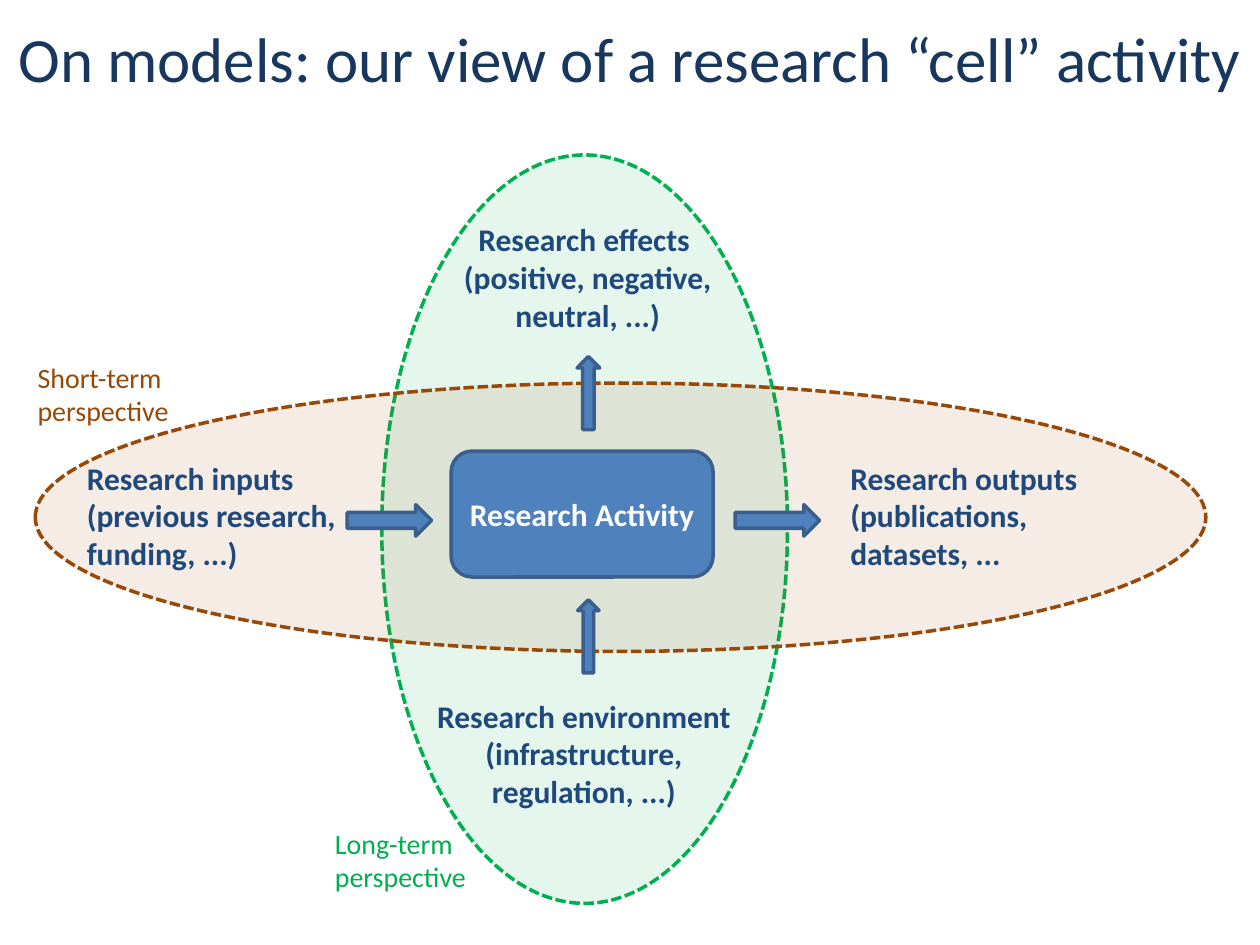
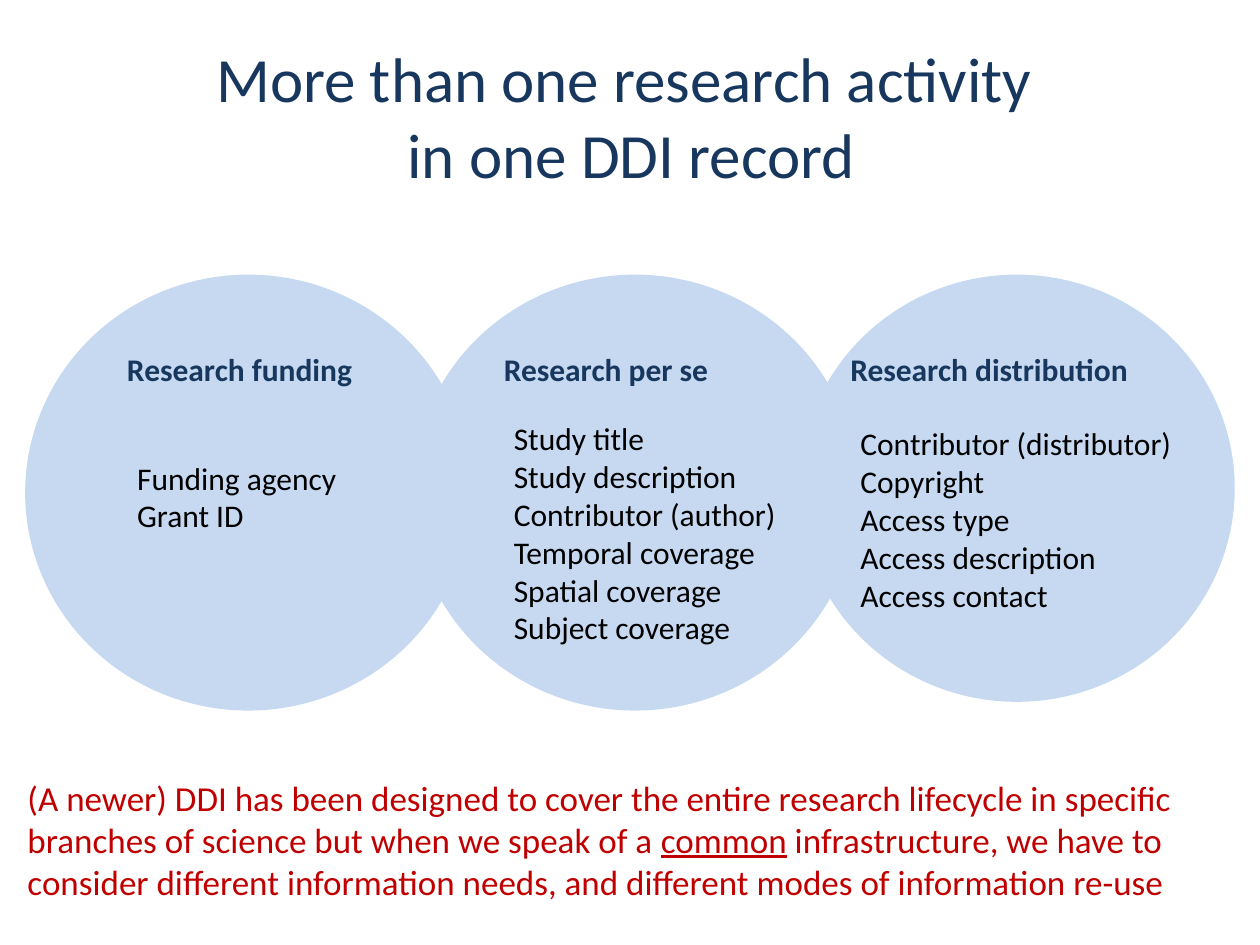
from lxml.etree import SubElement
from pptx import Presentation
from pptx.dml.color import RGBColor
from pptx.enum.dml import MSO_LINE
from pptx.enum.shapes import MSO_SHAPE
from pptx.enum.text import MSO_ANCHOR, MSO_AUTO_SIZE, PP_ALIGN
from pptx.oxml.ns import qn
from pptx.util import Inches, Pt

FONT = "Calibri"
COLORS = {
    "title": "17375E", "label": "1F497D", "text": "000000", "white": "FFFFFF",
    "long": "00B050", "short": "984807", "activity": "4F81BD",
    "edge": "3A5F8C", "circle": "C6D9F1", "remark": "C00000",
}
WIDTH, HEIGHT = 10, 7.5

# Slide 1: places are (left, top, width, height) in inches
CELL_TITLE = ["On models: our view of a research “cell” activity"]
PERSPECTIVES = [
    ("long", (3.03, 1.23, 3.22, 5.94), "Long-term perspective", (2.56, 6.51, 1.32, 0.64)),
    ("short", (0.28, 3.04, 9.29, 2.13), "Short-term perspective", (0.2, 2.81, 1.42, 0.64)),
]
ACTIVITY = ("Research Activity", (3.58, 3.58, 2.08, 1))
FACTORS = [
    (["Research inputs", "(previous research, funding, ...)"], (0.59, 3.59, 2.31, 1.01), PP_ALIGN.LEFT),
    (["Research outputs", "(publications, datasets, ..."], (6.65, 3.59, 2.13, 1.01), PP_ALIGN.LEFT),
    (["Research effects \v(positive, negative, neutral, ...)"], (3.58, 1.7, 2.17, 1.01), PP_ALIGN.CENTER),
    (["Research environment (infrastructure, regulation, ...)"], (3.27, 5.48, 2.73, 1.01), PP_ALIGN.CENTER),
]
# Centre x, centre y, length, thickness, rotation
ARROWS = [
    (3.09, 4.13, 0.67, 0.25, 0), (6.17, 4.13, 0.67, 0.25, 0),
    (4.67, 3.12, 0.58, 0.18, 270), (4.67, 5.05, 0.58, 0.17, 270),
]

# Slide 2: heading, its left edge, entries, their top and width, circle size
RECORD_TITLE = ["More than one research activity \vin one DDI record"]
STAGES = [
    ("Research funding", 0.91, ["Funding agency", "Grant ID"], 3.59, 1.97, (3.54, 3.46)),
    ("Research per se", 3.9,
     ["Study title", "Study description", "Contributor (author)",
      "Temporal coverage", "Spatial coverage", "Subject coverage"], 3.28, 2.44, (3.54, 3.46)),
    ("Research distribution", 6.65,
     ["Contributor (distributor)", "Copyright", "Access type",
      "Access description", "Access contact"], 3.32, 2.68, (3.46, 3.39)),
]
CIRCLE_LEFT, CIRCLE_TOP, CIRCLE_PITCH = 0.2, 2.18, 3.07
HEADING_TOP, HEADING_WIDTH, HEADING_HEIGHT = 2.73, 2.6, 0.4
ENTRY_INDENT, ENTRY_HEIGHT = 0.08, 0.3
REMARK = [
    ("(A newer) DDI has been designed to cover the entire research lifecycle in "
     "specific branches of science but when we speak of a ", False),
    ("common", True),
    (" infrastructure, we have to consider different information needs, and "
     "different modes of information re-use", False),
]


def color(name):
    return RGBColor.from_string(COLORS[name])


def inches(place):
    return [Inches(length) for length in place]


def write(frame, paragraphs, size, ink, bold=False, align=PP_ALIGN.LEFT):
    """Fill a frame; a paragraph is a string or a list of (text, underlined)."""
    frame.word_wrap = True
    for index, content in enumerate(paragraphs):
        para = frame.paragraphs[0] if index == 0 else frame.add_paragraph()
        para.alignment = align
        spans = [(content, False)] if isinstance(content, str) else content
        for text, underlined in spans:
            for number, line in enumerate(text.split("\v")):
                if number:
                    para.add_line_break()
                span = para.add_run()
                span.text = line
                font = span.font
                font.name, font.size, font.bold = FONT, Pt(size), bold
                font.color.rgb = color(ink)
                if underlined:
                    font.underline = True


def add_text(page, place, paragraphs, size, ink, bold=False, align=PP_ALIGN.LEFT):
    box = page.shapes.add_textbox(*inches(place))
    write(box.text_frame, paragraphs, size, ink, bold, align)
    box.text_frame.auto_size = MSO_AUTO_SIZE.SHAPE_TO_FIT_TEXT


def add_figure(page, kind, place, fill, edge=None):
    shape = page.shapes.add_shape(kind, *inches(place))
    shape.shadow.inherit = False
    shape.fill.solid()
    shape.fill.fore_color.rgb = color(fill)
    if edge:
        shape.line.color.rgb = color(edge)
        shape.line.width = Pt(2)
    else:
        shape.line.fill.background()
    return shape


def set_opacity(shape, percent):
    fill_color = shape._element.spPr.find(qn("a:solidFill"))[0]
    SubElement(fill_color, qn("a:alpha")).set("val", str(percent * 1000))


def add_page(deck, title, place):
    page = deck.slides.add_slide(deck.slide_layouts.get_by_name("Title Only"))
    heading = page.shapes.title
    heading.left, heading.top, heading.width, heading.height = inches(place)
    heading.text_frame.vertical_anchor = MSO_ANCHOR.MIDDLE
    heading.text_frame.auto_size = MSO_AUTO_SIZE.NONE
    write(heading.text_frame, title, 36, "title", align=PP_ALIGN.CENTER)
    return page


def build_cell(deck):
    page = add_page(deck, CELL_TITLE, (0, 0, WIDTH, 0.91))
    for ink, place, _, _ in PERSPECTIVES:
        ellipse = add_figure(page, MSO_SHAPE.OVAL, place, ink, ink)
        ellipse.line.dash_style = MSO_LINE.SQUARE_DOT
        set_opacity(ellipse, 10)

    name, place = ACTIVITY
    activity = add_figure(page, MSO_SHAPE.ROUNDED_RECTANGLE, place, "activity", "edge")
    activity.text_frame.vertical_anchor = MSO_ANCHOR.MIDDLE
    write(activity.text_frame, [name], 18, "white", True, PP_ALIGN.CENTER)

    for x, y, length, thickness, rotation in ARROWS:
        place = (x - length / 2, y - thickness / 2, length, thickness)
        arrow = add_figure(page, MSO_SHAPE.RIGHT_ARROW, place, "activity", "edge")
        arrow.rotation = rotation
    for lines, place, align in FACTORS:
        add_text(page, place, lines, 18, "label", True, align)
    for ink, _, caption, place in PERSPECTIVES:
        add_text(page, place, [caption], 16, ink)


def build_record(deck):
    page = add_page(deck, RECORD_TITLE, (0.51, 0.29, 9, 1.25))
    for index, stage in enumerate(STAGES):
        left = CIRCLE_LEFT + index * CIRCLE_PITCH
        add_figure(page, MSO_SHAPE.OVAL, (left, CIRCLE_TOP, *stage[-1]), "circle")
    for heading, left, entries, top, width, _ in STAGES:
        add_text(page, (left, HEADING_TOP, HEADING_WIDTH, HEADING_HEIGHT),
                 [heading], 18, "title", True)
        height = 0.1 + ENTRY_HEIGHT * len(entries)
        add_text(page, (left + ENTRY_INDENT, top, width, height), entries, 18, "text")
    add_text(page, (0.12, 6.11, WIDTH, 1.11), [REMARK], 20, "remark")


def main():
    deck = Presentation()
    deck.slide_width, deck.slide_height = Inches(WIDTH), Inches(HEIGHT)
    build_cell(deck)
    build_record(deck)
    deck.save("out.pptx")


if __name__ == "__main__":
    main()
